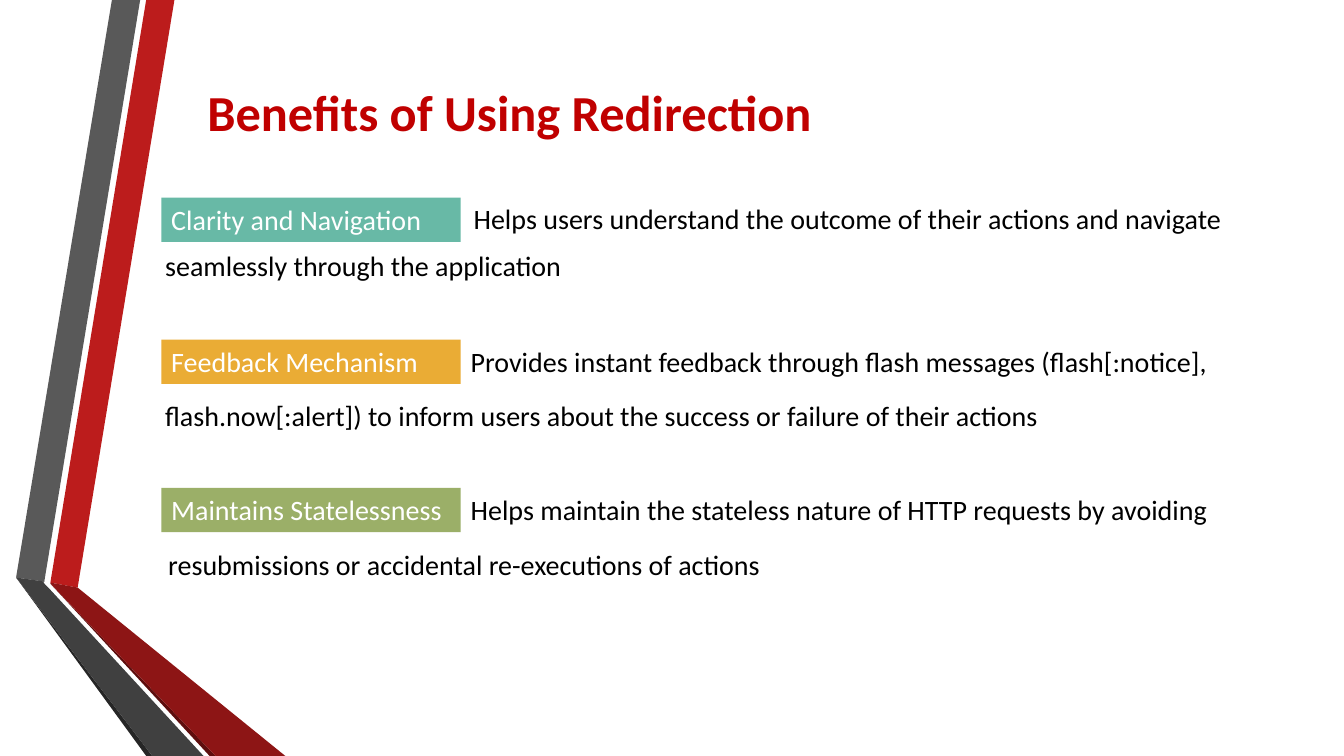
import pptx
import pptx.util
import pptx.dml.color
import pptx.enum.shapes
import pptx.enum.text

COLORS = {
    "red": "BC1C1C", "gray": "595959", "gray_edge": "262626",
    "red_edge": "5E0E0E", "red_fold": "8D1515", "gray_fold": "404040",
    "title": "C00000", "teal": "68B9A6", "amber": "EAAC35",
    "green": "9BAF68", "white": "FFFFFF", "black": "000000",
}
FORMATS = {
    "title": {"name": "Calibri", "size": pptx.util.Pt(36), "bold": True},
    "body": {"name": "Calibri", "size": pptx.util.Pt(20), "bold": False},
}
RIBBONS = [
    ("red", [(3.75, 77.07), (5.78, 77.73), (12.98, 0), (10.88, 0)]),
    ("gray", [(10.43, 0), (8.33, 0), (1.2, 76.4), (3.3, 76.93)]),
    ("gray_edge", [(1.2, 76.4), (10.88, 100), (11.33, 100)]),
    ("red_edge", [(3.75, 77.2), (15.6, 100), (16.05, 100)]),
    ("red_fold", [(3.75, 77.2), (16.05, 100), (21.23, 100), (5.78, 77.73), (3.75, 77.07)]),
    ("gray_fold", [(15.15, 100), (3.6, 77.73), (3.23, 77.07), (3.3, 76.93),
                   (1.2, 76.4), (11.33, 100)]),
]
LABEL_X, LABEL_W, LINE_H = 12, 22.28, 5.87
BENEFITS = [
    ("Clarity and Navigation", "teal", 26.13, [
        ("Helps users understand the outcome of their actions and navigate", 34.5, 26, 58.43),
        ("seamlessly through the application", 11.55, 32.27, 32.48)]),
    ("Feedback Mechanism", "amber", 44.93, [
        ("Provides instant feedback through flash messages (flash[:notice],", 34.28, 44.93, 64.35),
        ("flash.now[:alert]) to inform users about the success or failure of their actions",
         11.55, 52, 67.5)]),
    ("Maintains Statelessness", "green", 64.53, [
        ("Helps maintain the stateless nature of HTTP requests by avoiding", 34.28, 64.53, 59.48),
        ("resubmissions or accidental re-executions of actions", 11.78, 71.73, 46.88)]),
]


class Deck:
    """Slide builder whose lengths are percentages of the slide's width and height."""

    def __init__(self):
        self.prs = pptx.Presentation()
        self.prs.slide_width = pptx.util.Inches(13.333)
        self.prs.slide_height = pptx.util.Inches(7.5)
        self.s = self.prs.slides.add_slide(self.prs.slide_layouts[5])

    def x(self, share):
        return round(self.prs.slide_width * share / 100)

    def y(self, share):
        return round(self.prs.slide_height * share / 100)

    def box(self, left, top, width, height):
        return self.x(left), self.y(top), self.x(width), self.y(height)

    def rgb(self, color):
        return pptx.dml.color.RGBColor.from_string(COLORS[color])

    def paint(self, sp, color):
        sp.shadow.inherit = False
        sp.fill.solid()
        sp.fill.fore_color.rgb = self.rgb(color)
        sp.line.fill.background()

    def fill_text(self, sp, text, style, color, align="LEFT", anchor="TOP"):
        tf = sp.text_frame
        frame = {"word_wrap": True, "auto_size": pptx.enum.text.MSO_AUTO_SIZE.NONE,
                 "vertical_anchor": pptx.enum.text.MSO_ANCHOR[anchor]}
        for key, value in frame.items():
            setattr(tf, key, value)
        p = tf.paragraphs[0]
        p.alignment = pptx.enum.text.PP_ALIGN[align]
        r = p.add_run()
        r.text = text
        for key, value in FORMATS[style].items():
            setattr(r.font, key, value)
        r.font.color.rgb = self.rgb(color)

    def ribbon(self, color, points):
        corners = [(self.x(x), self.y(y)) for x, y in points]
        builder = self.s.shapes.build_freeform(*corners[0])
        builder.add_line_segments(corners[1:], close=True)
        self.paint(builder.convert_to_shape(), color)

    def title(self, text, *place):
        sp = self.s.shapes.title
        for key, value in zip(("left", "top", "width", "height"), self.box(*place)):
            setattr(sp, key, value)
        self.fill_text(sp, text, "title", "title", "CENTER", "MIDDLE")

    def label(self, text, color, *place):
        rect = pptx.enum.shapes.MSO_SHAPE.RECTANGLE
        sp = self.s.shapes.add_shape(rect, *self.box(*place))
        self.paint(sp, color)
        self.fill_text(sp, text, "body", "white")

    def text(self, text, *place):
        sp = self.s.shapes.add_textbox(*self.box(*place))
        self.fill_text(sp, text, "body", "black")


def main():
    deck = Deck()
    for color, points in RIBBONS:
        deck.ribbon(color, points)
    deck.title("Benefits of Using Redirection", 13.13, 10.13, 49.58, 9.2)
    for name, color, top, lines in BENEFITS:
        deck.label(name, color, LABEL_X, top, LABEL_W, LINE_H)
        for line, left, line_top, width in lines:
            deck.text(line, left, line_top, width, LINE_H)
    deck.prs.save("out.pptx")


if __name__ == "__main__":
    main()
